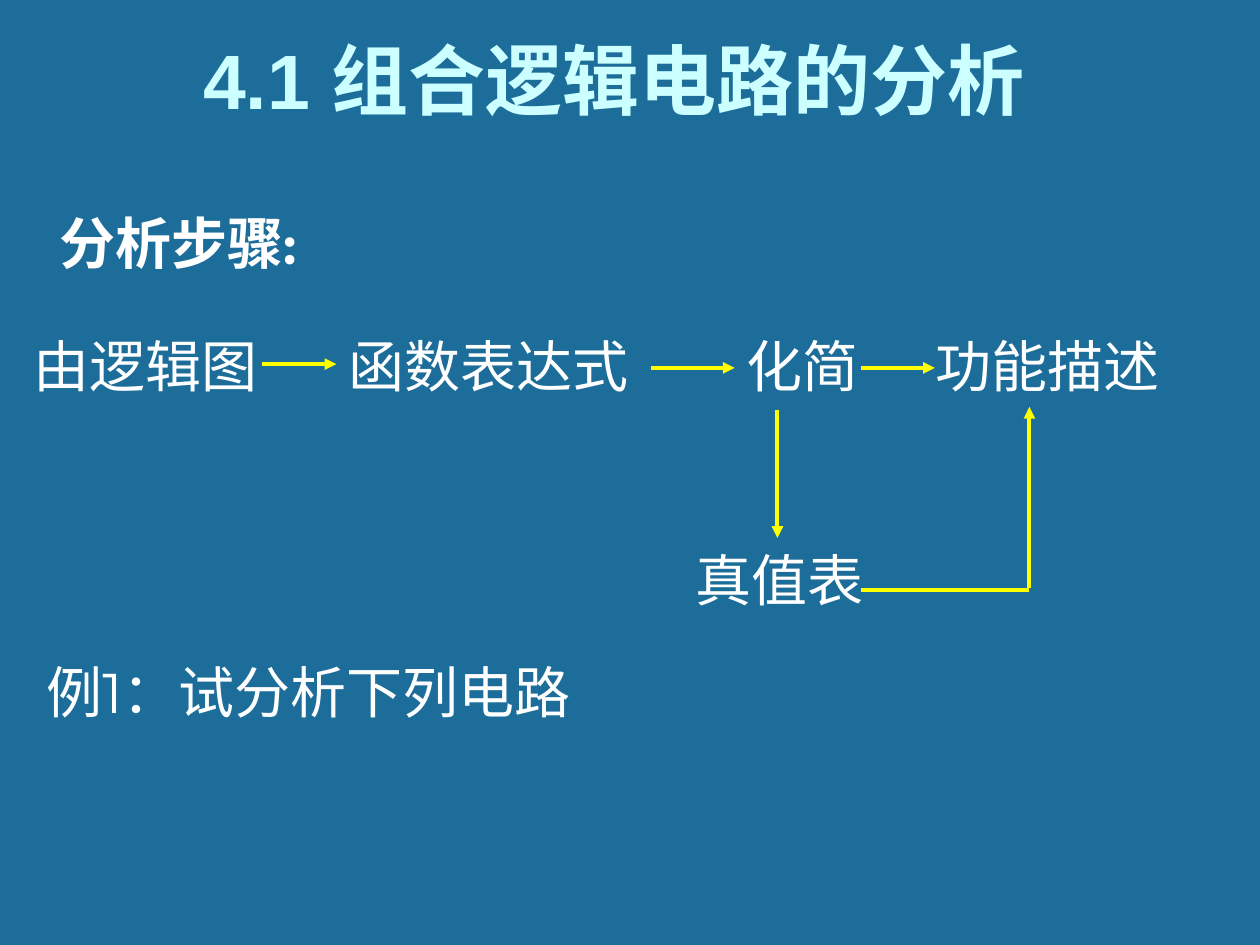
from lxml import etree
from pptx import Presentation
from pptx.dml.color import RGBColor
from pptx.enum.shapes import MSO_CONNECTOR as CONN
from pptx.enum.text import MSO_ANCHOR as ANCHOR, PP_ALIGN as ALIGN
from pptx.oxml.ns import qn
from pptx.util import Inches, Pt

BLUE = RGBColor(0x1C, 0x6D, 0x9A)
CYAN = RGBColor(0xCC, 0xFF, 0xFF)
WHITE = RGBColor(0xFF, 0xFF, 0xFF)
YELLOW = RGBColor(0xFF, 0xFF, 0x00)

BODY = {"name": "Montserrat", "size": Pt(32), "bold": False}
HEAD = {**BODY, "bold": True}
COLON = {**HEAD, "size": Pt(28)}
TITLE = {"name": "Arial", "size": Pt(44), "bold": True}

prs = Presentation()
prs.slide_width, prs.slide_height = Inches(10), Inches(7.5)
s = prs.slides.add_slide(prs.slide_layouts[6])
s.background.fill.solid()
s.background.fill.fore_color.rgb = BLUE


def add_text(x, y, w, h, runs, color=WHITE):
    tf = s.shapes.add_textbox(Inches(x), Inches(y), Inches(w), Inches(h)).text_frame
    tf.word_wrap = False
    tf.margin_right = 0  # room for the label to stay on one line
    for text, fmt in runs:
        r = tf.paragraphs[0].add_run()
        r.text = text
        for key, value in fmt.items():
            setattr(r.font, key, value)
        r.font.color.rgb = color
    return tf


# Title
tf = add_text(0.44, 0.21, 8.77, 0.83, [("4.1 组合逻辑电路的分析", TITLE)], CYAN)
tf.word_wrap = True
tf.vertical_anchor = ANCHOR.MIDDLE
tf.paragraphs[0].alignment = ALIGN.CENTER

# Heading of the steps
add_text(0.37, 1.61, 2.21, 0.64, [("分析步骤", HEAD), (":", COLON)])

# Steps and example
STEP_Y = 2.58
for text, x, y, w in [
    ("由逻辑图", 0.17, STEP_Y, 1.98),
    ("函数表达式", 2.67, STEP_Y, 2.42),
    ("化简", 5.83, STEP_Y, 1.09),
    ("功能描述", 7.33, STEP_Y, 1.98),
    ("真值表", 5.42, 4.28, 1.53),
    ("例1：试分析下列电路", 0.27, 5.17, 4.66),
]:
    add_text(x, y, w, 0.64, [(text, BODY)])

# Flow lines: start, end, arrowhead
for x1, y1, x2, y2, arrow in [
    (2.08, 2.89, 2.67, 2.89, True),
    (5.17, 2.92, 5.83, 2.92, True),
    (6.83, 2.92, 7.42, 2.92, True),
    (6.17, 3.25, 6.17, 4.27, True),
    (6.83, 4.68, 8.17, 4.68, False),
    (8.17, 4.67, 8.17, 3.23, True),
]:
    c = s.shapes.add_connector(CONN.STRAIGHT, Inches(x1), Inches(y1), Inches(x2), Inches(y2))
    c.line.color.rgb = YELLOW
    c.line.width = Pt(2.25)
    if arrow:
        etree.SubElement(c.line._get_or_add_ln(), qn("a:tailEnd"), type="triangle")
    etree.SubElement(c._element.spPr, qn("a:effectLst"))

prs.save("out.pptx")
